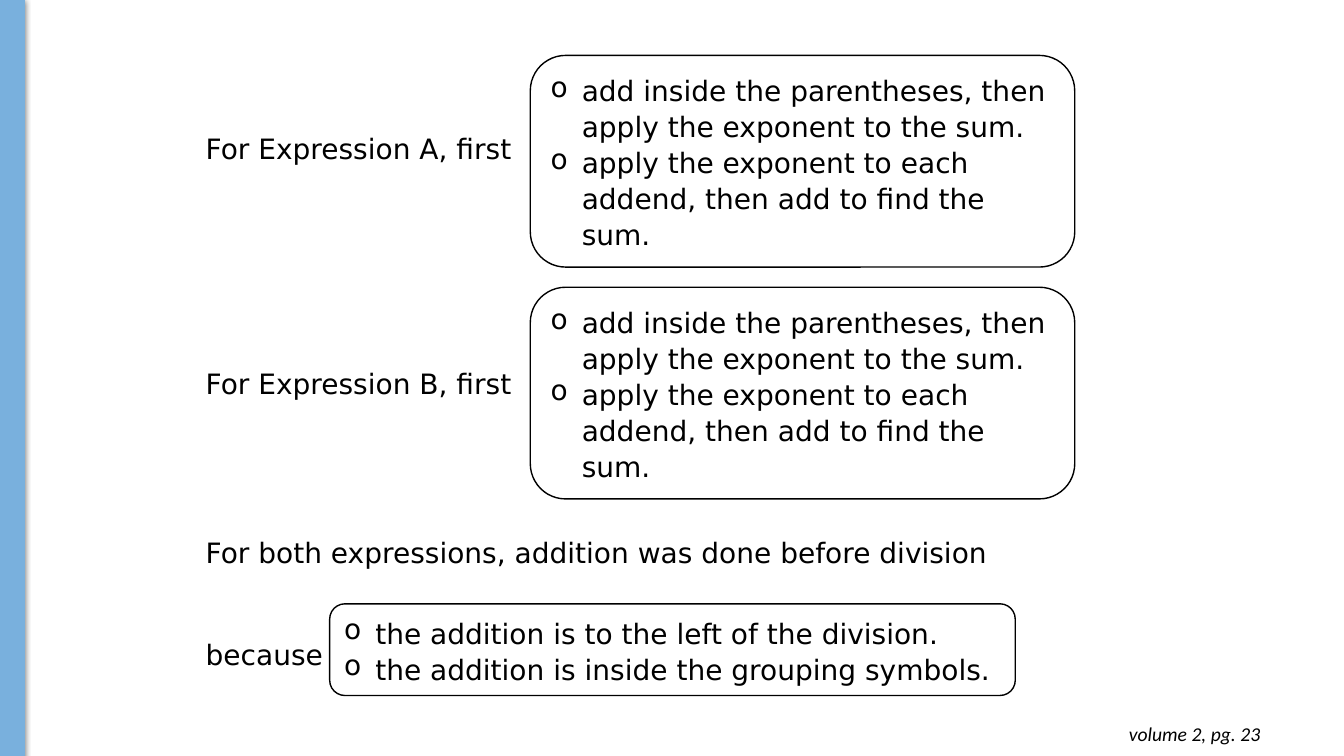
from typing import NamedTuple

from lxml.etree import SubElement
from pptx import Presentation
from pptx.dml.color import RGBColor
from pptx.enum.shapes import MSO_SHAPE
from pptx.enum.text import MSO_ANCHOR, PP_ALIGN
from pptx.oxml import parse_xml
from pptx.oxml.ns import nsdecls, qn
from pptx.util import Inches, Pt

BLACK, WHITE, BLUE = "000000", "FFFFFF", "79B0DD"
BODY_FONT, FOOTER_FONT = "DejaVu Sans", "Calibri"


class Box(NamedTuple):
    left: float
    top: float
    width: float
    height: float


class Prompt(NamedTuple):
    text: str
    space_before: float


class ChoiceBox(NamedTuple):
    box: Box
    choices: tuple[str, ...]


EXPONENT_CHOICES = (
    "add inside the parentheses, then apply the exponent to the sum.",
    "apply the exponent to each addend, then add to find the sum.",
)
GROUPING_CHOICES = (
    "the addition is to the left of the division.",
    "the addition is inside the grouping symbols.",
)
PROMPTS = (
    Prompt("For Expression A, first", 0),
    Prompt("For Expression B, first", 144.5),
    Prompt("For both expressions, addition was done before division", 96.5),
    Prompt("because", 49),
)
CHOICE_BOXES = (
    ChoiceBox(Box(5.26, 0.55, 5.4, 2.1), EXPONENT_CHOICES),
    ChoiceBox(Box(5.26, 2.85, 5.4, 2.1), EXPONENT_CHOICES),
    ChoiceBox(Box(3.27, 5.99, 6.8, 0.91), GROUPING_CHOICES),
)


def color(value: str) -> RGBColor:
    return RGBColor.from_string(value)


def set_font(paragraph, name: str, size: float, italic: bool = False) -> None:
    font = paragraph.font
    font.name, font.size, font.italic = name, Pt(size), italic
    font.color.rgb = color(BLACK)


def add_filled_shape(slide, kind: MSO_SHAPE, box: Box, fill: str, line: str, weight: float):
    shape = slide.shapes.add_shape(kind, *map(Inches, box))
    shape.shadow.inherit = False
    shape.fill.solid()
    shape.fill.fore_color.rgb = color(fill)
    shape.line.color.rgb = color(line)
    shape.line.width = Pt(weight)
    return shape


def add_text_box(slide, box: Box):
    frame = slide.shapes.add_textbox(*map(Inches, box)).text_frame
    frame.word_wrap = True
    return frame


def add_side_bar(slide) -> None:
    bar = add_filled_shape(slide, MSO_SHAPE.RECTANGLE, Box(0, -0.01, 0.24, 7.51), BLUE, BLUE, 0.75)
    effects = bar._element.spPr.find(qn("a:effectLst"))
    effects.append(parse_xml(
        f'<a:outerShdw {nsdecls("a")} blurRad="{Pt(4.5)}" dist="{Pt(1.5)}" dir="5400000">'
        f'<a:srgbClr val="{BLACK}"><a:alpha val="50000"/></a:srgbClr></a:outerShdw>'
    ))


def add_prompts(slide, prompts: tuple[Prompt, ...]) -> None:
    frame = add_text_box(slide, Box(1.44, 0.57, 10.23, 6.16))
    frame.margin_left, frame.margin_top = Inches(0.6), Inches(0.73)
    for index, prompt in enumerate(prompts):
        paragraph = frame.add_paragraph() if index else frame.paragraphs[0]
        paragraph.text = prompt.text
        paragraph.space_before = Pt(prompt.space_before)
        set_font(paragraph, BODY_FONT, 20)


def add_choice_box(slide, item: ChoiceBox) -> None:
    shape = add_filled_shape(slide, MSO_SHAPE.ROUNDED_RECTANGLE, item.box, WHITE, BLACK, 1)
    frame = shape.text_frame
    frame.word_wrap = True
    frame.vertical_anchor = MSO_ANCHOR.MIDDLE
    for index, choice in enumerate(item.choices):
        paragraph = frame.add_paragraph() if index else frame.paragraphs[0]
        paragraph.text = choice
        paragraph.alignment = PP_ALIGN.LEFT
        paragraph.line_spacing = 1.07
        properties = paragraph._p.get_or_add_pPr()
        properties.set("marL", str(Inches(0.31)))
        properties.set("indent", str(Inches(-0.31)))
        SubElement(properties, qn("a:buChar"), char="o")
        set_font(paragraph, BODY_FONT, 20)
    paragraph.space_after = Pt(8)


def add_page_reference(slide) -> None:
    frame = add_text_box(slide, Box(9.72, 7.06, 2.88, 0.44))
    frame.margin_top = frame.margin_bottom = Inches(0.1)
    paragraph = frame.paragraphs[0]
    paragraph.text = "volume 2, pg. 23"
    paragraph.alignment = PP_ALIGN.RIGHT
    set_font(paragraph, FOOTER_FONT, 14, italic=True)


def main() -> None:
    presentation = Presentation()
    presentation.slide_width, presentation.slide_height = Inches(13.33), Inches(7.5)
    slide = presentation.slides.add_slide(presentation.slide_layouts[6])

    # Side bar and sentence starters
    add_side_bar(slide)
    add_prompts(slide, PROMPTS)

    # Answer choices
    for item in CHOICE_BOXES:
        add_choice_box(slide, item)

    # Footer
    add_page_reference(slide)
    presentation.save("out.pptx")


if __name__ == "__main__":
    main()
